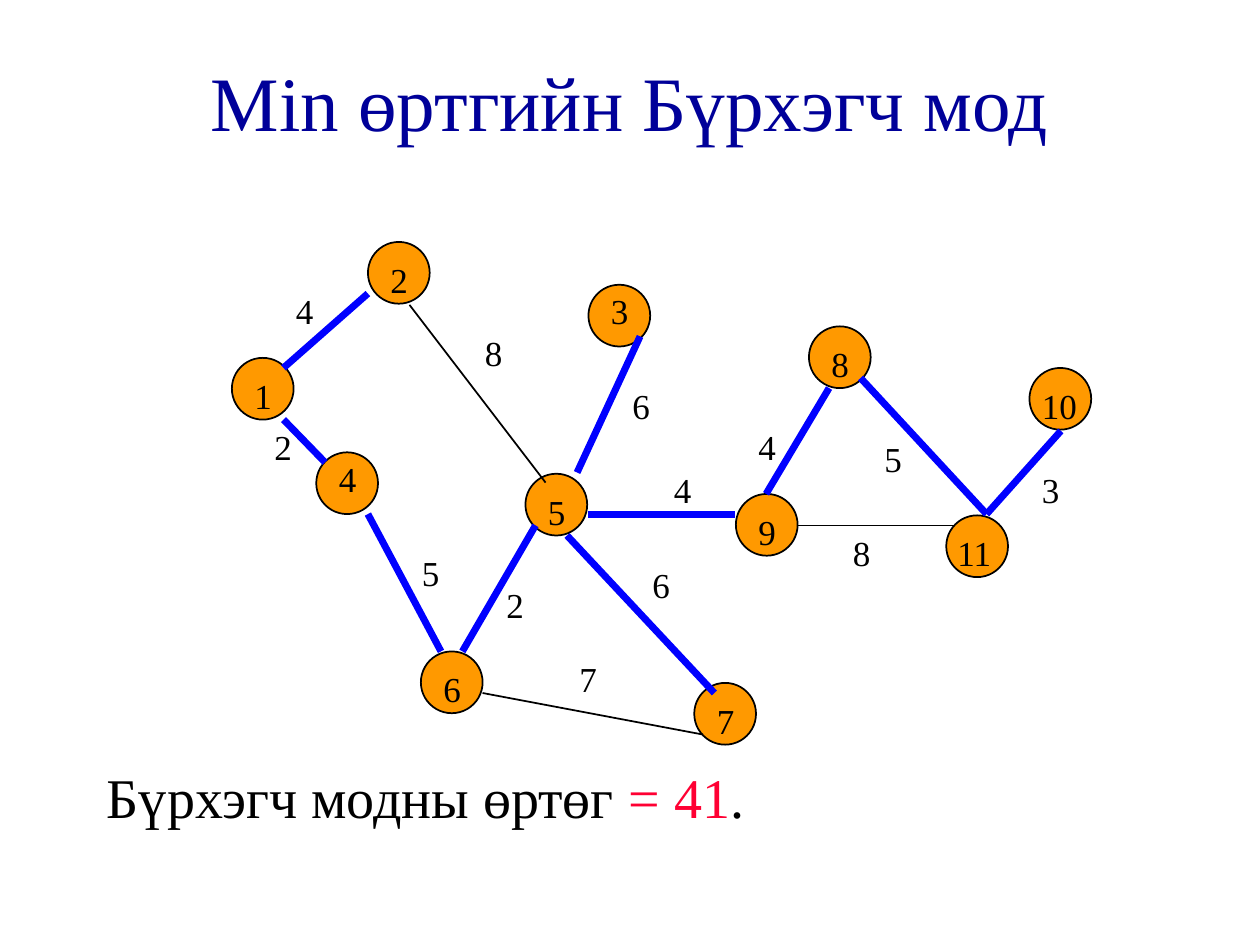
"""Build a slide showing a minimum-cost spanning tree on a weighted graph."""
from dataclasses import dataclass

from lxml import etree
from pptx import Presentation
from pptx import util as u
from pptx.dml.color import RGBColor
from pptx.enum import shapes, text
from pptx.oxml import ns

Point = tuple[float, float]

FONT = "Times New Roman"
BLACK, NAVY, RED = "000000", "000099", "FF0033"
BLUE, ORANGE = "0000FF", "FF9900"
NODE_SIZE = 0.49
LABEL_HEIGHT = 0.43
WEIGHT_WIDTH = 0.33


@dataclass(frozen=True)
class Node:
    name: str
    left: float
    top: float
    label_dx: float = 0.08
    label_dy: float = 0.08
    label_width: float = 0.25


@dataclass(frozen=True)
class Edge:
    start: Point
    end: Point
    weight: str
    weight_at: Point
    in_tree: bool = True


@dataclass(frozen=True)
class Phrase:
    wording: str
    colour: str = BLACK


NODES = [
    Node("1", 1.84, 2.84),
    Node("2", 2.92, 1.92),
    Node("3", 4.67, 2.26, label_dy=-0.01),
    Node("8", 6.42, 2.59),
    Node("10", 8.17, 2.92, label_dx=0, label_width=0.5),
    Node("4", 2.51, 3.59, label_dy=-0.01),
    Node("5", 4.17, 3.76),
    Node("9", 5.84, 3.92),
    Node("11", 7.51, 4.09, label_dx=-0.01, label_width=0.83),
    Node("6", 3.34, 5.17),
    Node("7", 5.51, 5.42),
]

EDGES = [
    Edge((2.92, 2.33), (2.25, 2.92), "4", (2.25, 2.25)),
    Edge((3.25, 2.42), (4.33, 3.83), "8", (3.75, 2.58), in_tree=False),
    Edge((2.25, 3.33), (2.58, 3.67), "2", (2.08, 3.33)),
    Edge((2.92, 4.08), (3.5, 5.17), "5", (3.25, 4.33)),
    Edge((3.83, 5.5), (5.58, 5.83), "7", (4.5, 5.17), in_tree=False),
    Edge((5.08, 2.67), (4.58, 3.75), "6", (4.92, 3)),
    Edge((4.5, 4.25), (5.67, 5.5), "6", (5.08, 4.42)),
    Edge((6.58, 3.08), (6.08, 3.92), "4", (5.92, 3.33)),
    Edge((6.83, 3), (7.83, 4.08), "5", (6.92, 3.42)),
    Edge((7.83, 4.08), (8.42, 3.42), "3", (8.17, 3.67)),
    Edge((4.67, 4.08), (5.83, 4.08), "4", (5.25, 3.67)),
    Edge((6.33, 4.17), (7.58, 4.17), "8", (6.67, 4.17), in_tree=False),
    Edge((4.25, 4.17), (3.67, 5.17), "2", (3.92, 4.58)),
]


def rgb(colour: str) -> RGBColor:
    return RGBColor.from_string(colour)


def add_text(slide, left: float, top: float, width: float, height: float,
             phrases: list[Phrase], size: float = 20,
             align=text.PP_ALIGN.LEFT, anchor=text.MSO_ANCHOR.TOP) -> None:
    box = slide.shapes.add_textbox(*map(u.Inches, (left, top, width, height)))
    frame_format = {"word_wrap": True, "vertical_anchor": anchor}
    for attribute, value in frame_format.items():
        setattr(box.text_frame, attribute, value)
    paragraph = box.text_frame.paragraphs[0]
    paragraph.alignment = align
    for phrase in phrases:
        run = paragraph.add_run()
        run.text = phrase.wording
        for attribute, value in {"name": FONT, "size": u.Pt(size)}.items():
            setattr(run.font, attribute, value)
        run.font.color.rgb = rgb(phrase.colour)


def draw_node(slide, node: Node) -> None:
    circle = slide.shapes.add_shape(
        shapes.MSO_SHAPE.OVAL,
        *map(u.Inches, (node.left, node.top, NODE_SIZE, NODE_SIZE)))
    circle.shadow.inherit = False
    circle.fill.solid()
    circle.fill.fore_color.rgb = rgb(ORANGE)
    circle.line.color.rgb = rgb(BLACK)
    circle.line.width = u.Pt(1)


def draw_edge(slide, edge: Edge) -> None:
    link = slide.shapes.add_connector(
        shapes.MSO_CONNECTOR.STRAIGHT, *map(u.Inches, edge.start + edge.end))
    link.line.color.rgb = rgb(BLUE if edge.in_tree else BLACK)
    link.line.width = u.Pt(4 if edge.in_tree else 1)
    etree.SubElement(link._element.spPr, ns.qn("a:effectLst"))


def label_node(slide, node: Node) -> None:
    add_text(slide, node.left + node.label_dx, node.top + node.label_dy,
             node.label_width, LABEL_HEIGHT, [Phrase(node.name)])


def label_edge(slide, edge: Edge) -> None:
    add_text(slide, *edge.weight_at, WEIGHT_WIDTH, LABEL_HEIGHT,
             [Phrase(edge.weight)])


def main() -> None:
    deck = Presentation()
    deck.slide_width, deck.slide_height = u.Inches(10), u.Inches(7.5)
    slide = deck.slides.add_slide(deck.slide_layouts[6])
    add_text(slide, 0.75, 0.17, 8.5, 1.25,
             [Phrase("Min өртгийн Бүрхэгч мод", NAVY)], size=44,
             align=text.PP_ALIGN.CENTER, anchor=text.MSO_ANCHOR.MIDDLE)
    add_text(slide, 0.75, 6, 8.5, 1.25,
             [Phrase("Бүрхэгч модны өртөг "), Phrase("= 41", RED), Phrase(".")],
             size=32)
    for draw, parts in ((draw_node, NODES), (draw_edge, EDGES),
                        (label_node, NODES), (label_edge, EDGES)):
        for part in parts:
            draw(slide, part)
    deck.save("out.pptx")


if __name__ == "__main__":
    main()
